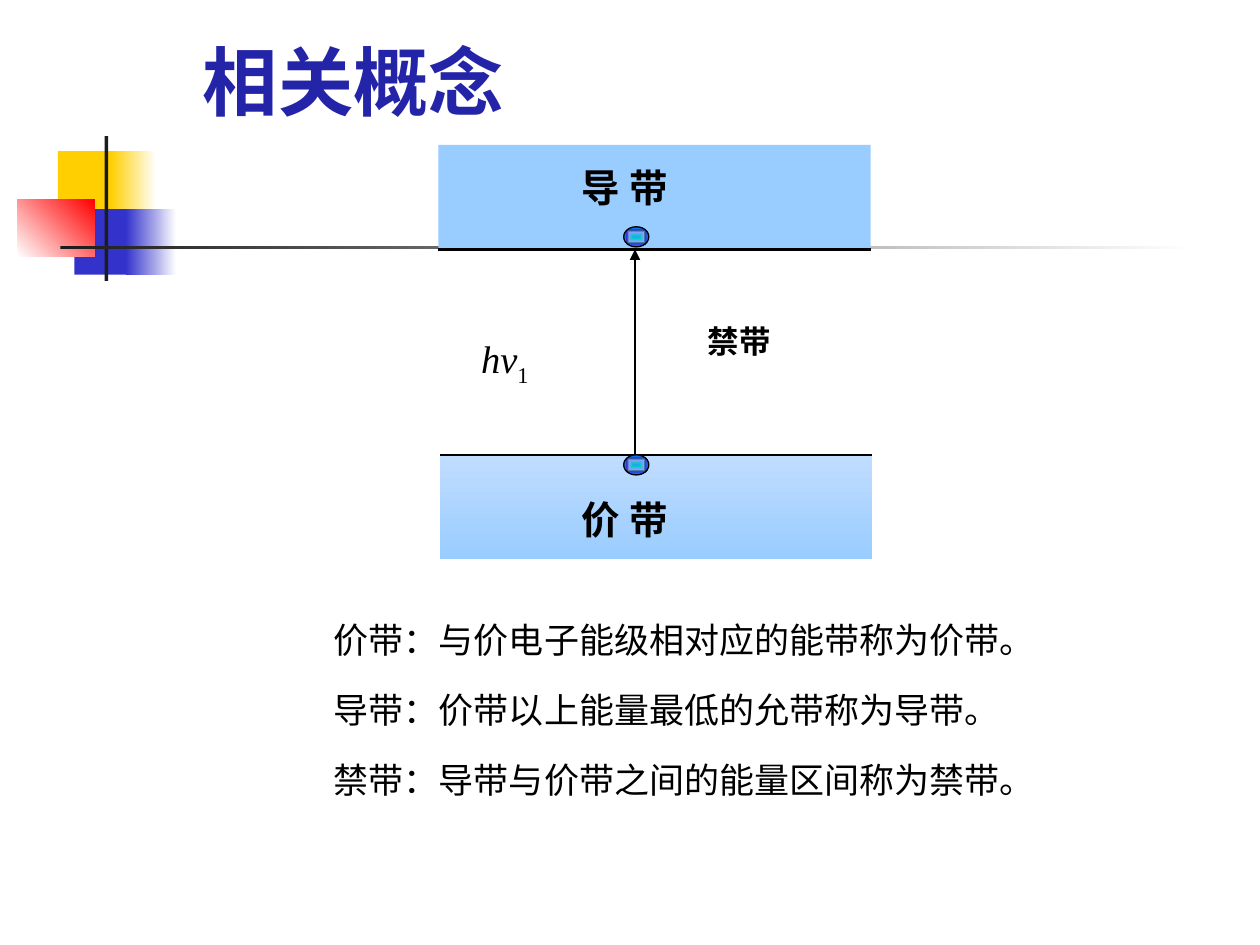
from lxml import etree
from pptx import Presentation
from pptx import util as u
from pptx.dml.color import RGBColor
from pptx.enum import shapes, text
from pptx.oxml import ns

BLACK = RGBColor(0x00, 0x00, 0x00)
WHITE = RGBColor(0xFF, 0xFF, 0xFF)
TITLE_BLUE = RGBColor(0x24, 0x24, 0xA8)
YELLOW = RGBColor(0xFF, 0xCF, 0x01)
BLUE = RGBColor(0x33, 0x33, 0xCC)
RED = RGBColor(0xFF, 0x00, 0x00)
CHARCOAL = RGBColor(0x1C, 0x1C, 0x1C)
BAND_BLUE = RGBColor(0x99, 0xCC, 0xFF)
PALE_BLUE = RGBColor(0xC0, 0xDD, 0xFF)
ELECTRON_STOPS = [
    (0, RGBColor(0x33, 0x99, 0xFF)), (16, RGBColor(0x00, 0xCC, 0xCC)),
    (47, RGBColor(0x99, 0x99, 0xFF)), (60, RGBColor(0x2E, 0x67, 0x92)),
    (71, BLUE), (81, RGBColor(0x11, 0x70, 0xFF)), (100, RGBColor(0x00, 0x66, 0x99)),
]
CJK_FONT = "Noto Sans CJK SC"
SERIF_FONT = "Times New Roman"
BODY_FONT = "Lato"


def add_element(parent, tag, **attributes):
    return etree.SubElement(parent, ns.qn(tag), attributes)


def set_gradient(shape, stops, angle=None):
    shape.fill.background()
    empty_fill = shape.element.spPr.find(ns.qn("a:noFill"))
    gradient = etree.Element(ns.qn("a:gradFill"), rotWithShape="1")
    stop_list = add_element(gradient, "a:gsLst")
    for position, color in stops:
        stop = add_element(stop_list, "a:gs", pos=str(position * 1000))
        add_element(stop, "a:srgbClr", val=str(color))
    if angle is None:
        center = add_element(gradient, "a:path", path="shape")
        add_element(center, "a:fillToRect", l="50000", t="50000", r="50000", b="50000")
    else:
        add_element(gradient, "a:lin", ang=str(angle * 60000), scaled="0")
    empty_fill.getparent().replace(empty_fill, gradient)


def add_block(slide, left, top, width, height, color=None, kind=shapes.MSO_SHAPE.RECTANGLE):
    shape = slide.shapes.add_shape(
        kind, u.Inches(left), u.Inches(top), u.Inches(width), u.Inches(height))
    shape.shadow.inherit = False
    shape.line.fill.background()
    if color is not None:
        shape.fill.solid()
        shape.fill.fore_color.rgb = color
    return shape


def add_fade(slide, left, top, width, height, start, end, angle=0):
    shape = add_block(slide, left, top, width, height)
    set_gradient(shape, [(0, start), (100, end)], angle)
    return shape


def add_line(slide, begin, end, width):
    line = slide.shapes.add_connector(
        shapes.MSO_CONNECTOR.STRAIGHT, *(u.Inches(value) for value in (*begin, *end)))
    line.line.color.rgb = BLACK
    line.line.width = u.Pt(width)
    add_element(line.element.spPr, "a:effectLst")
    return line


def style_run(run, size, name, color=BLACK, bold=False, italic=False):
    font = run.font
    font.size = u.Pt(size)
    font.bold = bold
    font.italic = italic
    font.color.rgb = color
    font.name = name
    add_element(run.font._element, "a:ea", typeface=CJK_FONT)


def add_label(slide, left, top, width, height, wording, size, name, bold=False, italic=False):
    label = slide.shapes.add_textbox(
        u.Inches(left), u.Inches(top), u.Inches(width), u.Inches(height))
    label.text_frame.word_wrap = True
    label.text_frame.text = wording
    paragraph = label.text_frame.paragraphs[0]
    style_run(paragraph.runs[0], size, name, bold=bold, italic=italic)
    return label


def add_ornament(slide, left, top):
    add_block(slide, left + 0.32, top + 0.12, 0.48, 0.52, YELLOW)
    add_fade(slide, left + 0.74, top + 0.12, 0.36, 0.52, YELLOW, WHITE)
    add_block(slide, left + 0.45, top + 0.58, 0.46, 0.52, BLUE)
    add_fade(slide, left + 0.86, top + 0.58, 0.4, 0.52, BLUE, WHITE)
    add_fade(slide, left, top + 0.5, 0.61, 0.46, WHITE, RED, 315)
    add_block(slide, left + 0.69, top, 0.03, 1.15, CHARCOAL)
    add_fade(slide, left + 0.34, top + 0.87, 9, 0.03, CHARCOAL, WHITE)


def add_title(slide, left, top, width, height):
    title = slide.shapes.title
    title.left, title.top = u.Inches(left), u.Inches(top)
    title.width, title.height = u.Inches(width), u.Inches(height)
    frame = title.text_frame
    frame.text = "相关概念"
    frame.vertical_anchor = text.MSO_ANCHOR.MIDDLE
    paragraph = frame.paragraphs[0]
    paragraph.alignment = text.PP_ALIGN.LEFT
    style_run(paragraph.runs[0], 43, CJK_FONT, TITLE_BLUE, bold=True)


def add_band_diagram(slide, left, top, width):
    band_height = 0.82
    conduction_edge, valence_edge = top + 0.83, top + 2.46
    arrow_x = left + 1.56

    formula = add_label(slide, left + 0.24, top + 1.46, 0.8, 0.45, "hν", 22, SERIF_FONT, italic=True)
    subscript = formula.text_frame.paragraphs[0].add_run()
    subscript.text = "1"
    style_run(subscript, 22, SERIF_FONT)
    subscript.font._element.set("baseline", "-25000")

    add_block(slide, left, top, width, band_height, BAND_BLUE)
    add_fade(slide, left + 0.01, valence_edge + 0.01, width, band_height,
             PALE_BLUE, BAND_BLUE, 90)
    for edge, offset in ((conduction_edge, 0), (valence_edge, 0.01)):
        add_line(slide, (left + offset, edge), (left + offset + width, edge), 1.5)
    for wording, offset in (("导 带", 0.1), ("价 带", 2.74)):
        add_label(slide, left + 1.04, top + offset, 1.09, 0.45, wording, 22, CJK_FONT, bold=True)
    for electron_top in (conduction_edge - 0.18, valence_edge):
        electron = add_block(slide, left + 1.47, electron_top, 0.2, 0.16,
                             kind=shapes.MSO_SHAPE.OVAL)
        set_gradient(electron, ELECTRON_STOPS)
        electron.line.color.rgb = BLACK
        electron.line.width = u.Pt(0.75)

    arrow = add_line(slide, (arrow_x, valence_edge), (arrow_x, conduction_edge), 1)
    add_element(arrow.line._get_or_add_ln(), "a:tailEnd", type="triangle")
    add_label(slide, left + 2.04, top + 1.36, 1.12, 0.73, "禁带", 18, SERIF_FONT, bold=True)


def add_definitions(slide, left, top, width, height):
    box = slide.shapes.add_textbox(
        u.Inches(left), u.Inches(top), u.Inches(width), u.Inches(height))
    frame = box.text_frame
    frame.word_wrap = True
    frame.text = "\n".join((
        "价带：与价电子能级相对应的能带称为价带。",
        "导带：价带以上能量最低的允带称为导带。",
        "禁带：导带与价带之间的能量区间称为禁带。",
    ))
    for index, paragraph in enumerate(frame.paragraphs):
        paragraph.line_spacing = u.Pt(36)
        paragraph.space_before = u.Pt(4 if index else 0)
        style_run(paragraph.runs[0], 20, BODY_FONT)


def main():
    presentation = Presentation()
    presentation.slide_width, presentation.slide_height = u.Inches(10), u.Inches(7.5)
    slide = presentation.slides.add_slide(presentation.slide_layouts[5])
    add_ornament(slide, 0.14, 1.08)
    add_title(slide, 1.51, 0.01, 8.2, 1.25)
    add_definitions(slide, 2.55, 4.69, 6.39, 2.13)
    add_band_diagram(slide, 3.48, 1.15, 3.43)
    presentation.save("out.pptx")


if __name__ == "__main__":
    main()
